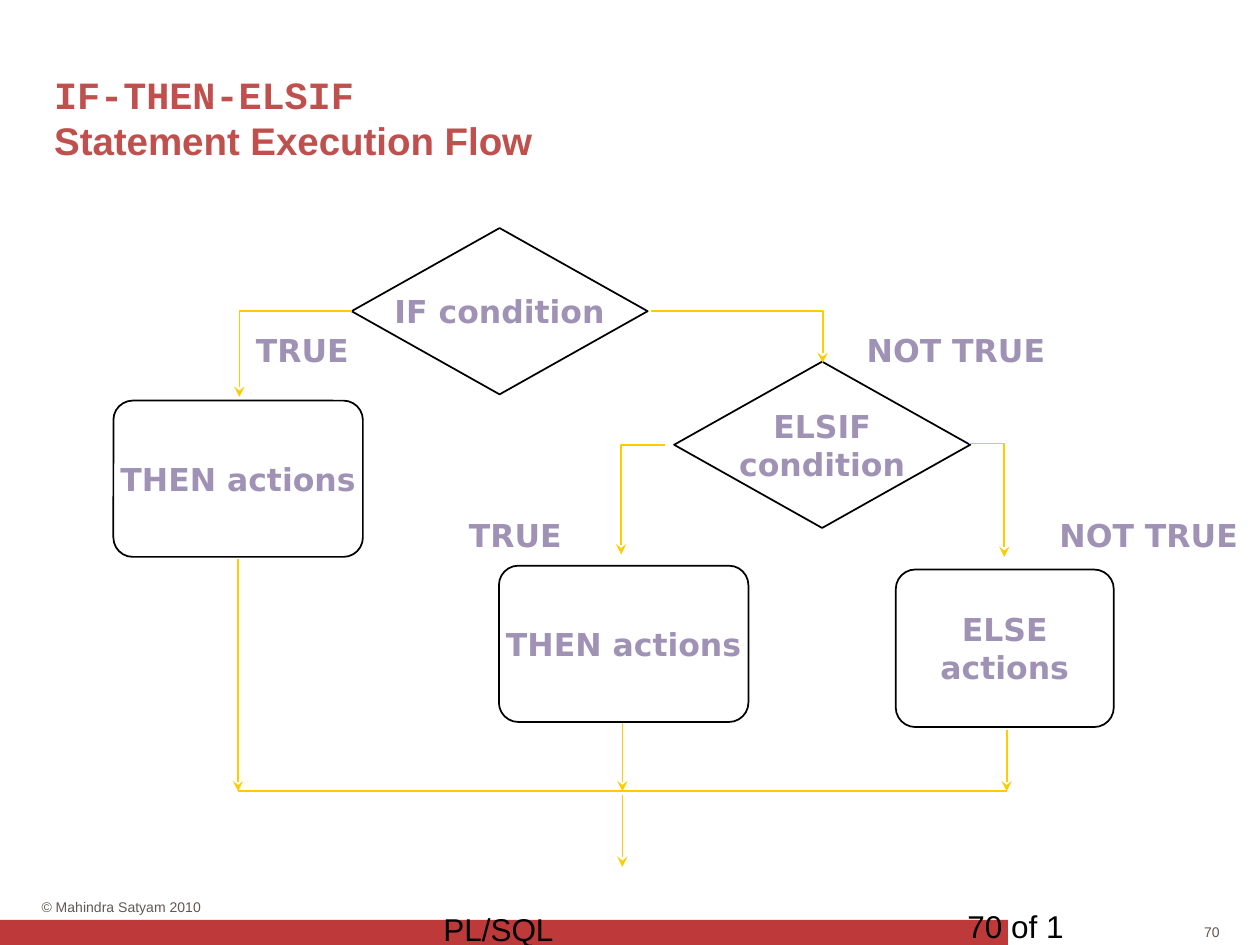
from lxml import etree
from pptx import Presentation
from pptx.dml.color import RGBColor
from pptx.enum.shapes import MSO_CONNECTOR, MSO_SHAPE
from pptx.enum.text import MSO_ANCHOR, MSO_AUTO_SIZE, PP_ALIGN
from pptx.oxml.ns import qn
from pptx.util import Inches, Pt

LEFT, CENTER, RIGHT = PP_ALIGN.LEFT, PP_ALIGN.CENTER, PP_ALIGN.RIGHT
TOP, MIDDLE = MSO_ANCHOR.TOP, MSO_ANCHOR.MIDDLE
DIAMOND, ROUNDED = MSO_SHAPE.DIAMOND, MSO_SHAPE.ROUNDED_RECTANGLE

RED = RGBColor(0xBE, 0x3A, 0x3A)
TITLE_RED = RGBColor(0xC0, 0x50, 0x4D)
GREY = RGBColor(0x62, 0x57, 0x53)
BLACK = RGBColor(0, 0, 0)
LILAC = RGBColor(0xA0, 0x92, 0xB4)
YELLOW = RGBColor(0xFF, 0xCC, 0x00)

FLOW_FONT = "DejaVu Sans"


def box(left, top, width, height):
    return Inches(left), Inches(top), Inches(width), Inches(height)


def format_font(font, name, size, color, bold):
    font.name, font.size, font.bold = name, Pt(size), bold
    font.color.rgb = color


def write(tf, text, font="Arial", size=18, color=BLACK, bold=False,
          align=LEFT, anchor=TOP, wrap=True, margins=(0.1, 0.05)):
    """Fill a text frame, one paragraph for each line of text."""
    tf.word_wrap, tf.vertical_anchor = wrap, anchor
    tf.margin_left = tf.margin_right = Inches(margins[0])
    tf.margin_top = tf.margin_bottom = Inches(margins[1])
    for i, line in enumerate(text.split("\n")):
        p = tf.add_paragraph() if i else tf.paragraphs[0]
        p.alignment = align
        r = p.add_run()
        r.text = line
        format_font(r.font, font, size, color, bold)


def add_text(s, at, text, **fmt):
    sp = s.shapes.add_textbox(*box(*at))
    write(sp.text_frame, text, **fmt)


def add_title(s):
    sp = s.shapes.title
    sp.left, sp.top, sp.width, sp.height = box(0.33, 0.51, 9.34, 0.37)
    tf = sp.text_frame
    write(tf, "IF-THEN-ELSIF ", font="Courier New", size=22,
          color=TITLE_RED, bold=True)
    tf.auto_size = MSO_AUTO_SIZE.SHAPE_TO_FIT_TEXT
    p = tf.paragraphs[0]
    p.add_line_break()
    r = p.add_run()
    r.text = "Statement Execution Flow"
    format_font(r.font, "Arial", 22, TITLE_RED, True)


def add_node(s, kind, at, text):
    sp = s.shapes.add_shape(kind, *box(*at))
    sp.shadow.inherit = False
    sp.fill.background()
    sp.line.color.rgb, sp.line.width = BLACK, Pt(1)
    if kind == ROUNDED:
        sp.adjustments[0] = 0.124
    write(sp.text_frame, text, font=FLOW_FONT, color=LILAC, bold=True,
          align=CENTER, anchor=MIDDLE, wrap=False)


def add_label(s, left, top, text, width, align):
    add_text(s, (left, top, width, 0.4), text, font=FLOW_FONT, color=LILAC,
             bold=True, align=align, wrap=False)


def style_line(line, arrow=True):
    line.color.rgb, line.width = YELLOW, Pt(1)
    if arrow:
        etree.SubElement(line._get_or_add_ln(), qn("a:tailEnd"), type="stealth")


def add_branch(s, start, end):
    """Arrow that runs across from start, then down to end."""
    points = [(Inches(x), Inches(y))
              for x, y in (start, (end[0], start[1]), end)]
    builder = s.shapes.build_freeform(*points[0])
    builder.add_line_segments(points[1:], close=False)
    sp = builder.convert_to_shape()
    sp.shadow.inherit = False
    sp.fill.background()
    style_line(sp.line)


def add_line(s, start, end, arrow=True):
    sp = s.shapes.add_connector(MSO_CONNECTOR.STRAIGHT,
                                *(Inches(v) for v in start + end))
    style_line(sp.line, arrow)
    etree.SubElement(sp._element.spPr, qn("a:effectLst"))


def add_footer(s):
    bar = s.shapes.add_shape(MSO_SHAPE.RECTANGLE, *box(0, 7.3, 8, 0.2))
    bar.shadow.inherit = False
    bar.fill.solid()
    bar.fill.fore_color.rgb = RED
    bar.line.fill.background()
    small = {"size": 8, "color": GREY, "margins": (0, 0)}
    add_text(s, (9.54, 7.33, 0.14, 0.13), "70", align=RIGHT, anchor=MIDDLE,
             wrap=False, **small)
    add_text(s, (0.33, 7.13, 1.54, 0.13), "© Mahindra Satyam 2010", **small)
    add_text(s, (3.42, 7.17, 3.17, 0.27), "PL/SQL")
    add_text(s, (7.58, 7.15, 2.33, 0.35), "70 of 1")


def main():
    prs = Presentation()
    prs.slide_width, prs.slide_height = Inches(10), Inches(7.5)
    s = prs.slides.add_slide(prs.slide_layouts[5])
    add_footer(s)
    add_title(s)

    # Conditions and actions
    for kind, at, text in (
        (DIAMOND, (2.79, 1.81, 2.35, 1.32), "IF condition"),
        (DIAMOND, (5.35, 2.87, 2.35, 1.32), "ELSIF\ncondition"),
        (ROUNDED, (0.9, 3.18, 1.98, 1.24), "THEN actions"),
        (ROUNDED, (3.96, 4.49, 1.98, 1.24), "THEN actions"),
        (ROUNDED, (7.11, 4.52, 1.73, 1.25), "ELSE\nactions"),
    ):
        add_node(s, kind, at, text)

    # Branch labels
    for left, top in ((1.93, 2.58), (3.62, 4.05)):
        add_label(s, left, top, "TRUE", 0.94, CENTER)
    for left, top in ((6.78, 2.58), (8.31, 4.05)):
        add_label(s, left, top, "NOT TRUE", 1.62, LEFT)

    # Branches out of the conditions
    for start, end in (
        ((2.79, 2.47), (1.9, 3.15)),
        ((5.17, 2.47), (6.53, 2.88)),
        ((5.28, 3.53), (4.93, 4.4)),
        ((7.69, 3.52), (7.97, 4.42)),
    ):
        add_branch(s, start, end)

    # Actions meet on one line, then flow on
    join = 6.28
    add_line(s, (1.89, join), (7.99, join), arrow=False)
    for x, top in ((1.89, 4.44), (4.94, 5.74), (7.99, 5.79)):
        add_line(s, (x, top), (x, join))
    add_line(s, (4.94, 6.31), (4.94, 6.88))

    prs.save("out.pptx")


if __name__ == "__main__":
    main()
